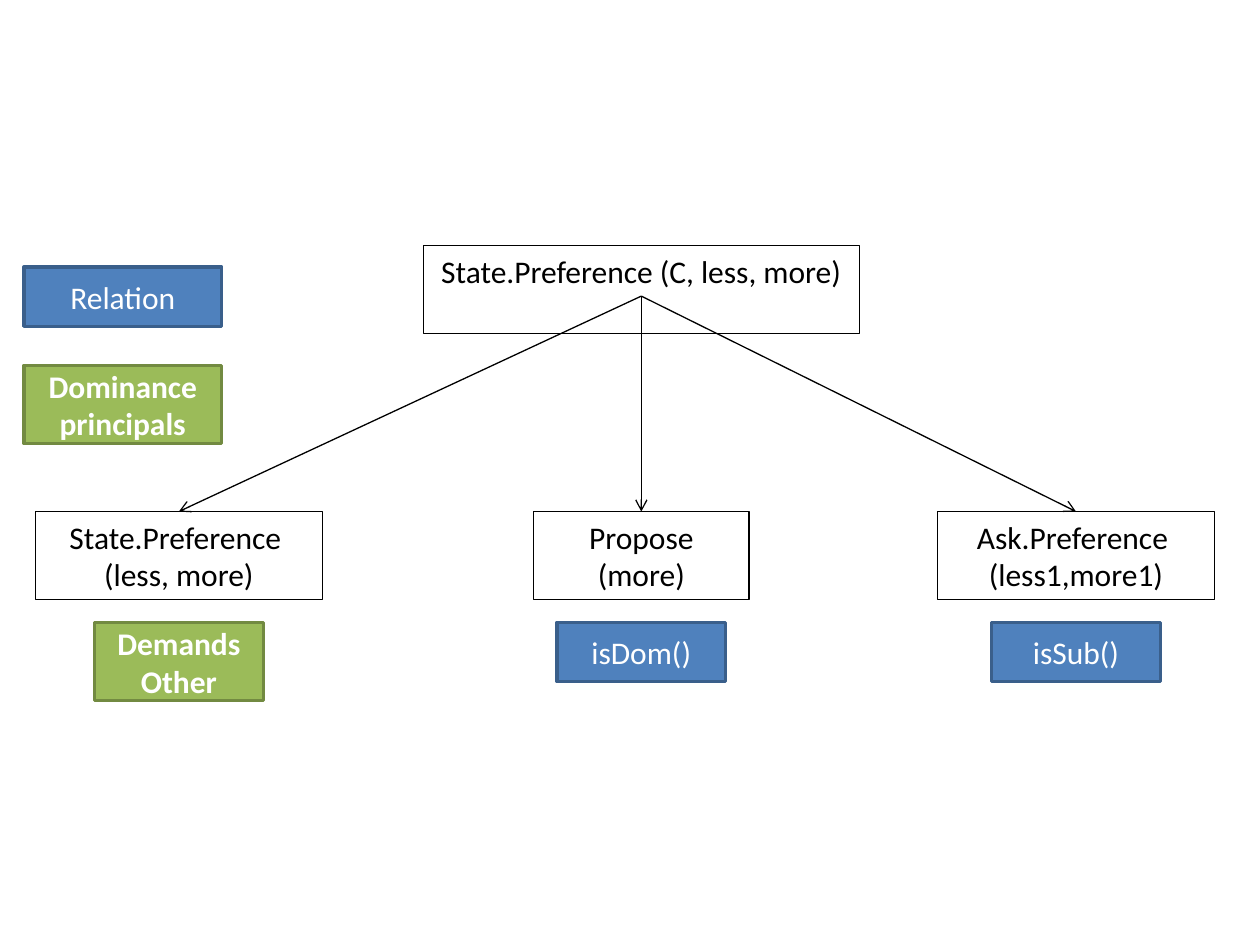
from dataclasses import dataclass

from lxml import etree
from pptx import Presentation
from pptx.dml.color import RGBColor
from pptx.enum.shapes import MSO_CONNECTOR, MSO_SHAPE
from pptx.enum.text import MSO_ANCHOR, PP_ALIGN
from pptx.oxml.ns import qn
from pptx.util import Inches, Pt

RECTANGLE = MSO_SHAPE.RECTANGLE
STRAIGHT = MSO_CONNECTOR.STRAIGHT
TOP, MIDDLE = MSO_ANCHOR.TOP, MSO_ANCHOR.MIDDLE
CENTER = PP_ALIGN.CENTER


@dataclass(frozen=True)
class BoxStyle:
    fill: str | None
    line: str
    line_width: float
    text: str
    bold: bool
    anchor: MSO_ANCHOR


@dataclass(frozen=True)
class Theme:
    font: str = "Calibri"
    size: int = 18
    arrow: str = "000000"
    arrow_width: float = 0.75
    utterance: BoxStyle = BoxStyle(None, "000000", 0.75, "000000", False, TOP)
    relation: BoxStyle = BoxStyle("4F81BD", "3A5F8B", 2, "FFFFFF", False, MIDDLE)
    dominance: BoxStyle = BoxStyle("9BBB59", "728A41", 2, "FFFFFF", True, MIDDLE)


THEME = Theme()


def rgb(value):
    return RGBColor.from_string(value)


def write_text(frame, text, *, color, bold=False, anchor=TOP, align=CENTER):
    frame.word_wrap = True
    frame.vertical_anchor = anchor
    frame.text = text
    for paragraph in frame.paragraphs:
        paragraph.alignment = align
        font = paragraph.font
        font.name, font.size, font.bold = THEME.font, Pt(THEME.size), bold
        font.color.rgb = rgb(color)


def add_box(slide, box, text, style):
    shape = slide.shapes.add_shape(RECTANGLE, *map(Inches, box))
    shape.shadow.inherit = False
    if style.fill:
        shape.fill.solid()
        shape.fill.fore_color.rgb = rgb(style.fill)
    else:
        shape.fill.background()
    shape.line.color.rgb = rgb(style.line)
    shape.line.width = Pt(style.line_width)
    write_text(shape.text_frame, text, color=style.text, bold=style.bold,
               anchor=style.anchor)


def add_arrow(slide, start, end):
    arrow = slide.shapes.add_connector(STRAIGHT, *map(Inches, start + end))
    arrow.line.color.rgb = rgb(THEME.arrow)
    arrow.line.width = Pt(THEME.arrow_width)
    etree.SubElement(arrow.line._get_or_add_ln(), qn("a:tailEnd"), type="arrow")
    etree.SubElement(arrow._element.spPr, qn("a:effectLst"))


def add_legend(slide, box):
    left, top, width, height = box
    relation_height, dominance_height = 0.47, 0.62
    add_box(slide, (left, top, width, relation_height), "Relation", THEME.relation)
    add_box(slide, (left, top + height - dominance_height, width, dominance_height),
            "Dominance principals", THEME.dominance)


def add_reply_tree(slide, box, replies):
    left, top, width, height = box
    utterance_height, root_width, tag_width = 0.7, 3.46, 1.34
    root_center = left + 4.81
    reply_top = top + 2.11
    tag_top = reply_top + 0.88
    add_box(slide, (root_center - root_width / 2, top, root_width, utterance_height),
            "State.Preference (C, less, more)", THEME.utterance)
    for offset, reply_width, reply, tag, tag_height, tag_style in replies:
        center = left + offset
        add_box(slide, (center - reply_width / 2, reply_top, reply_width,
                        utterance_height), reply, THEME.utterance)
        add_arrow(slide, (root_center, top + 0.4), (center, reply_top))
        add_box(slide, (center - tag_width / 2, tag_top, tag_width, tag_height),
                tag, tag_style)


REPLIES = [
    (1.14, 2.28, "State.Preference \n(less, more)", "Demands\nOther", 0.62,
     THEME.dominance),
    (4.81, 1.71, "Propose (more)", "isDom()", 0.47, THEME.relation),
    (8.26, 2.2, "Ask.Preference \n(less1,more1)", "isSub()", 0.47, THEME.relation),
]

presentation = Presentation()
presentation.slide_width, presentation.slide_height = Inches(10), Inches(7.5)
slide = presentation.slides.add_slide(presentation.slide_layouts[6])
add_reply_tree(slide, (0.28, 1.95, 9.36, 3.61), REPLIES)
add_legend(slide, (0.19, 2.12, 1.57, 1.4))
presentation.save("out.pptx")
